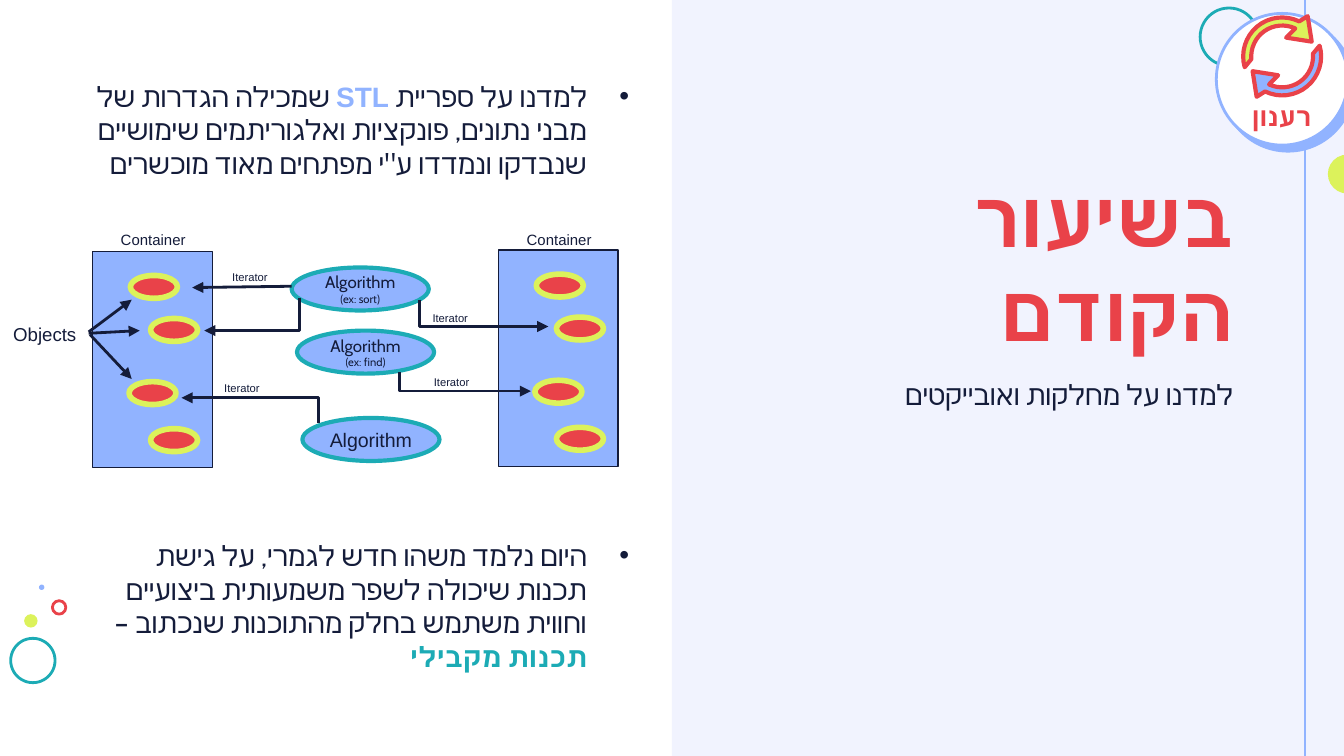
import math
from dataclasses import dataclass

import lxml.etree
import pptx
import pptx.dml.color
import pptx.enum.shapes
import pptx.enum.text
import pptx.oxml.ns
import pptx.util

Inches, Pt = pptx.util.Inches, pptx.util.Pt
qn = pptx.oxml.ns.qn
SHAPE = pptx.enum.shapes.MSO_SHAPE
ALIGN = pptx.enum.text.PP_ALIGN
ANCHOR = pptx.enum.text.MSO_ANCHOR
FIT = pptx.enum.text.MSO_AUTO_SIZE


@dataclass(frozen=True)
class Theme:
    ink: str = "141C3A"
    red: str = "E94249"
    blue: str = "91B3FF"
    teal: str = "1CABB5"
    lime: str = "DCF25B"
    panel: str = "F1F3FE"
    white: str = "FFFFFF"
    font: str = "Arial"
    alt_font: str = "Cabin"
    title: float = 42
    body: float = 15
    badge: float = 14
    node: float = 10.5
    objects: float = 10
    alt_node: float = 9
    label: float = 8
    small: float = 6


T = Theme()


def rgb(color):
    return pptx.dml.color.RGBColor.from_string(color)


def child(parent, tag, **attrs):
    return lxml.etree.SubElement(parent, qn(tag), attrs)


def style_run(r, size, color=T.ink, bold=False, font=T.font):
    r.font.size, r.font.bold, r.font.name = Pt(size), bold, font
    r.font.color.rgb = rgb(color)
    child(r.font._element, "a:cs", typeface=T.alt_font)


def paint(sp, fill=None, line=None, width=1.5):
    sp.shadow.inherit = False
    if fill:
        sp.fill.solid()
        sp.fill.fore_color.rgb = rgb(fill)
    else:
        sp.fill.background()
    if line:
        sp.line.color.rgb = rgb(line)
        sp.line.width = Pt(width)
    else:
        sp.line.fill.background()
    return sp


def add_shape(s, kind, x, y, w, h, fill=None, line=None, width=1.5):
    sp = s.shapes.add_shape(kind, Inches(x), Inches(y), Inches(w), Inches(h))
    return paint(sp, fill, line, width)


def add_line(s, x1, y1, x2, y2, color):
    ln = s.shapes.add_connector(pptx.enum.shapes.MSO_CONNECTOR.STRAIGHT,
                                Inches(x1), Inches(y1), Inches(x2), Inches(y2))
    ln.line.color.rgb = rgb(color)
    ln.line.width = Pt(1.5)
    child(ln.element.spPr, "a:effectLst")
    return ln


def add_freeform(s, points, close):
    emu = [(Inches(px), Inches(py)) for px, py in points]
    fb = s.shapes.build_freeform(*emu[0])
    fb.add_line_segments(emu[1:], close=close)
    return fb.convert_to_shape()


def add_arrow(s, points):
    if len(points) == 2:
        sp = add_line(s, *points[0], *points[1], T.ink)
    else:
        sp = paint(add_freeform(s, points, close=False), line=T.ink)
    child(sp.element.spPr.find(qn("a:ln")), "a:tailEnd", type="triangle")


def add_label(s, x, y, w, h, text, size):
    tb = s.shapes.add_textbox(Inches(x), Inches(y), Inches(w), Inches(h))
    tf = tb.text_frame
    tf.text, tf.word_wrap, tf.auto_size = text, False, FIT.SHAPE_TO_FIT_TEXT
    style_run(tf.paragraphs[0].runs[0], size)


def rtl_text(sp, box, paragraphs, size, anchor=ANCHOR.TOP, align=ALIGN.RIGHT, bullet=False):
    """Fill a right-to-left text shape; each paragraph lists (text, color, bold)."""
    sp.left, sp.top, sp.width, sp.height = map(Inches, box)
    sp.element.getparent().append(sp.element)  # bring to front
    tf = sp.text_frame
    tf.word_wrap, tf.auto_size, tf.vertical_anchor = True, FIT.NONE, anchor
    tf.margin_left = tf.margin_right = tf.margin_top = tf.margin_bottom = 0
    for i, runs in enumerate(paragraphs):
        p = tf.add_paragraph() if i else tf.paragraphs[0]
        p.alignment, p.space_before = align, Pt(0)
        pPr = p._p.get_or_add_pPr()
        pPr.set("rtl", "1")
        indent = Inches(0.31) if bullet else 0
        pPr.set("marL", str(indent))
        pPr.set("indent", str(-indent))
        if bullet:
            p.space_after = Pt(12)
            child(child(pPr, "a:buClr"), "a:srgbClr", val=T.ink)
            child(pPr, "a:buFont", typeface=T.font)
            child(pPr, "a:buChar", char="•")
        else:
            child(pPr, "a:buNone")
        for text, color, bold in runs:
            r = p.add_run()
            r.text = text
            style_run(r, size, color, bold)
    return tf


def title_panel(s, x, y, w, h):
    add_shape(s, SHAPE.RECTANGLE, x, y, w, h, T.panel)
    add_shape(s, SHAPE.OVAL, x + 3.93, y + 0.06, 0.43, 0.43, line=T.teal)
    add_line(s, x + 4.71, y, x + 4.71, y + h, T.blue)
    add_shape(s, SHAPE.OVAL, x + 4.88, y + 1.15, 0.29, 0.29, T.lime)
    rtl_text(s.shapes.title, (x + 0.49, y + 1.09, 3.69, 1.57),
             [[("בשיעור הקודם", T.red, True)]], T.title, ANCHOR.BOTTOM)
    rtl_text(s.placeholders[1], (x + 0.49, y + 2.81, 3.69, 2.28),
             [[("למדנו על מחלקות ואובייקטים", T.ink, False)]], T.body)


def badge(s, x, y, d):
    disc = add_shape(s, SHAPE.OVAL, x, y, d, d, T.white, T.blue)
    shadow = child(disc.element.spPr.find(qn("a:effectLst")), "a:outerShdw", blurRad="0",
                   dist=str(Pt(4.5)), dir=str(46 * 60000), algn="bl", rotWithShape="0")
    child(shadow, "a:srgbClr", val=T.blue)

    # Refresh icon: one arrow, then the same arrow turned half round
    def arc(radius, start, stop):
        angles = [math.radians(start + (stop - start) * i / 16) for i in range(17)]
        return [(radius * math.cos(a), radius * math.sin(a)) for a in angles]

    head = [(0.19, -0.3), (0.22, -0.11), (0.03, -0.14), (0.09, -0.2)]
    outline = arc(0.29, 164, 296) + head + arc(0.23, 295, 175)
    cx, cy = x + d / 2, y + 0.32
    for turn, color in ((1, T.lime), (-1, T.blue)):
        points = [(cx + turn * dx, cy + turn * dy) for dx, dy in outline]
        paint(add_freeform(s, points, close=True), color, T.red, 2.25)

    tb = s.shapes.add_textbox(0, 0, 0, 0)
    tf = rtl_text(tb, (x + 0.09, y + 0.55, 0.79, 0.33), [[("רענון", T.red, True)]],
                  T.badge, ANCHOR.BOTTOM, ALIGN.CENTER)
    tf.paragraphs[0].line_spacing = 0.8


def bubbles(s, x, y):
    for dx, dy, d, fill, line in ((0, 0.4, 0.33, None, T.teal), (0.1, 0.22, 0.1, T.lime, None),
                                  (0.31, 0.12, 0.1, None, T.red), (0.21, 0, 0.04, T.blue, None)):
        add_shape(s, SHAPE.OVAL, x + dx, y + dy, d, d, fill, line)


def body_text(s, box):
    tf = rtl_text(s.placeholders[2], box, [
        [("למדנו על ספריית ", T.ink, False), ("STL ", T.blue, True),
         ("שמכילה הגדרות של מבני נתונים, פונקציות ואלגוריתמים שימושיים "
          "שנבדקו ונמדדו ע\"י מפתחים מאוד מוכשרים", T.ink, False)],
        [("היום נלמד משהו חדש לגמרי, על גישת תכנות שיכולה לשפר משמעותית ביצועיים "
          "וחווית משתמש בחלק מהתוכנות שנכתוב – ", T.ink, False),
         ("תכנות מקבילי", T.teal, True)],
    ], T.body, bullet=True)
    tf.paragraphs[1].space_before = Pt(180)  # room for the diagram


def container(s, x, y, label_y):
    add_label(s, x + 0.11, label_y, 0.69, 0.24, "Container", T.label)
    add_shape(s, SHAPE.RECTANGLE, x, y, 0.89, 1.61, T.blue, T.ink, 0.75)
    for dx, dy in ((0.28, 0.18), (0.43, 0.5), (0.27, 0.97), (0.43, 1.32)):
        add_shape(s, SHAPE.OVAL, x + dx, y + dy, 0.35, 0.17, T.red, T.lime, 3)


def algorithm(s, x, y, example=None):
    sp = add_shape(s, SHAPE.OVAL, x, y, 1.02, 0.32, T.blue, T.teal, 2.25)
    tf = sp.text_frame
    tf.word_wrap, tf.vertical_anchor = False, ANCHOR.MIDDLE
    tf.text = f"Algorithm\n{example}" if example else "Algorithm"
    font, size = (T.alt_font, T.alt_node) if example else (T.font, T.node)
    for p, pt in zip(tf.paragraphs, (size, T.small)):
        p.alignment = ALIGN.CENTER
        style_run(p.runs[0], pt, font=font)


def stl_diagram(s, x, y):
    container(s, x + 0.69, y + 0.2, y)
    container(s, x + 3.71, y + 0.19, y)
    algorithm(s, x + 2.17, y + 0.32, "(ex: sort)")
    algorithm(s, x + 2.21, y + 0.79, "(ex: find)")
    algorithm(s, x + 2.25, y + 1.44)
    add_label(s, x, y + 0.68, 0.68, 0.27, "Objects", T.objects)
    for dx, dy in ((1.63, 0.29), (3.12, 0.6), (3.13, 1.07), (1.57, 1.12)):
        add_label(s, x + dx, y + dy, 0.47, 0.2, "Iterator", T.small)
    # Object pointers, then iterators
    for points in (((0.66, 0.81), (1.04, 0.79)), ((0.67, 0.82), (0.98, 1.15)),
                   ((0.66, 0.8), (0.98, 0.56)), ((2.17, 0.46), (1.43, 0.47)),
                   ((2.23, 0.55), (2.23, 0.79), (1.52, 0.79)),
                   ((3.12, 0.56), (3.12, 0.76), (4.08, 0.76)),
                   ((2.97, 1.1), (2.97, 1.24), (3.95, 1.24)),
                   ((2.37, 1.48), (2.37, 1.29), (1.35, 1.29))):
        add_arrow(s, [(x + dx, y + dy) for dx, dy in points])


def main():
    prs = pptx.Presentation()
    prs.slide_width, prs.slide_height = Inches(10), Inches(5.625)
    s = prs.slides.add_slide(prs.slide_layouts[3])  # Two Content
    title_panel(s, 5, 0, 5, 5.625)
    badge(s, 9.05, 0.1, 0.98)
    bubbles(s, 0.08, 4.35)
    body_text(s, (0.59, 0.59, 4.09, 4.44))
    stl_diagram(s, 0, 1.67)
    prs.save("out.pptx")


if __name__ == "__main__":
    main()
